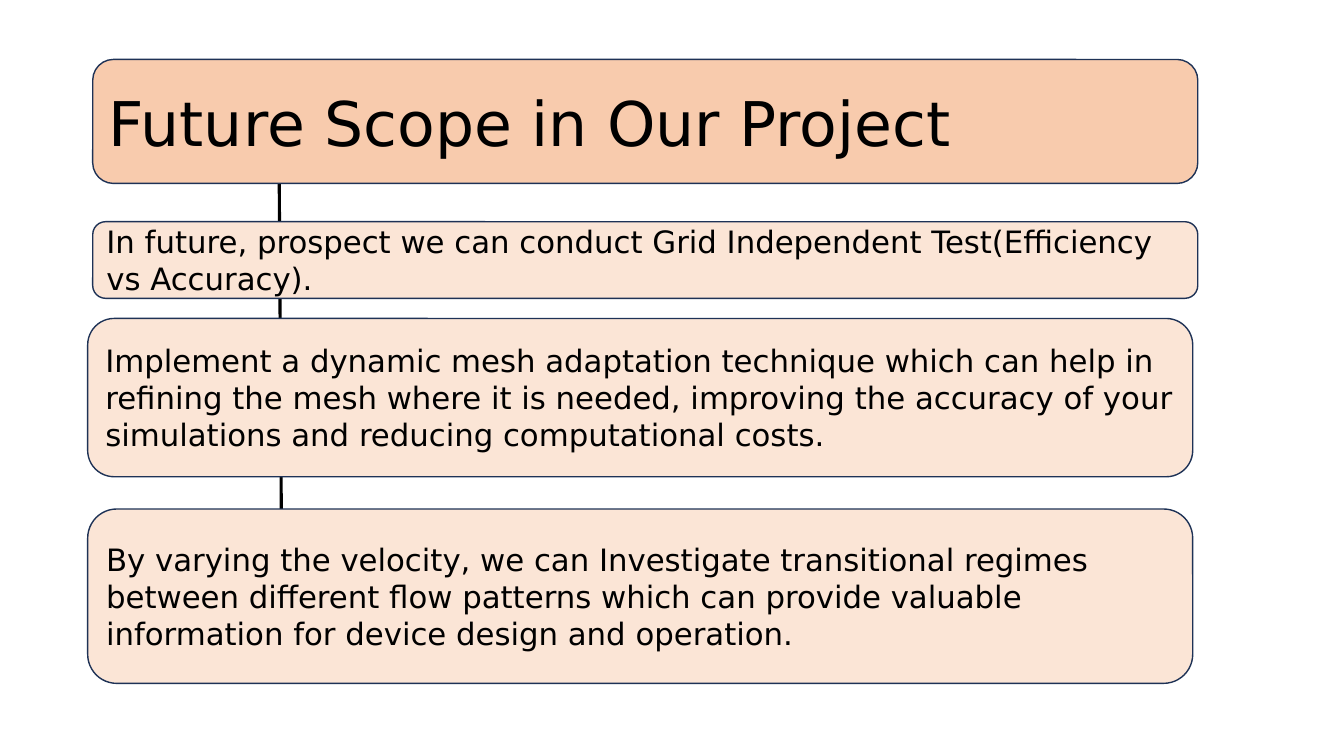
import pptx
import pptx.util
import pptx.dml.color
import pptx.enum.shapes
import pptx.enum.text
import pptx.oxml

Inches = pptx.util.Inches
Pt = pptx.util.Pt

FONT = "DejaVu Sans"
TITLE_FORMAT = {"size": Pt(44), "name": FONT}
ITEM_FORMAT = {"size": Pt(22), "name": FONT}
TITLE_FILL, ITEM_FILL, OUTLINE, BLACK = "F8CBAD", "FBE5D6", "1E3256", "000000"

TITLE = "Future Scope in Our Project"
SCOPE_ITEMS = [
    ((0.92, 2.2, 10.96, 0.76),
     "In future, prospect we can conduct Grid Independent Test(Efficiency vs Accuracy)."),
    ((0.87, 3.16, 10.96, 1.57),
     "Implement a dynamic mesh adaptation technique which can help in refining the mesh "
     "where it is needed, improving the accuracy of your simulations and reducing "
     "computational costs."),
    ((0.87, 5.05, 10.96, 1.73),
     "By varying the velocity, we can Investigate transitional regimes between different "
     "flow patterns which can provide valuable information for device design and operation."),
]


def color(hex_value):
    return pptx.dml.color.RGBColor.from_string(hex_value)


def add_spine(slide, start, end):
    spine = slide.shapes.add_connector(
        pptx.enum.shapes.MSO_CONNECTOR.STRAIGHT, *map(Inches, start + end))
    spine.line.width = Pt(2.25)
    spine.line.color.rgb = color(BLACK)
    spine.element.spPr.append(pptx.oxml.parse_xml(
        '<a:effectLst xmlns:a="http://schemas.openxmlformats.org/drawingml/2006/main"/>'))


def add_panel(slide, box, wording, fill, font_format):
    panel = slide.shapes.add_shape(
        pptx.enum.shapes.MSO_SHAPE.ROUNDED_RECTANGLE, *map(Inches, box))
    panel.shadow.inherit = False
    panel.fill.solid()
    panel.fill.fore_color.rgb = color(fill)
    panel.line.color.rgb = color(OUTLINE)
    panel.line.width = Pt(1)
    panel.text_frame.word_wrap = True
    panel.text_frame.vertical_anchor = pptx.enum.text.MSO_ANCHOR.MIDDLE
    paragraph = panel.text_frame.paragraphs[0]
    paragraph.alignment = pptx.enum.text.PP_ALIGN.LEFT
    sentence = paragraph.add_run()
    sentence.text = wording
    sentence.font.color.rgb = color(BLACK)
    for attribute, value in font_format.items():
        setattr(sentence.font, attribute, value)


def build_scope_slide(presentation):
    slide = presentation.slides.add_slide(presentation.slide_layouts[6])
    add_spine(slide, (2.77, 1.82), (2.79, 5.05))
    add_panel(slide, (0.92, 0.59, 10.96, 1.23), TITLE, TITLE_FILL, TITLE_FORMAT)
    for box, wording in SCOPE_ITEMS:
        add_panel(slide, box, wording, ITEM_FILL, ITEM_FORMAT)


def main():
    presentation = pptx.Presentation()
    presentation.slide_width = Inches(13.33)
    presentation.slide_height = Inches(7.5)
    build_scope_slide(presentation)
    presentation.save("out.pptx")


if __name__ == "__main__":
    main()
